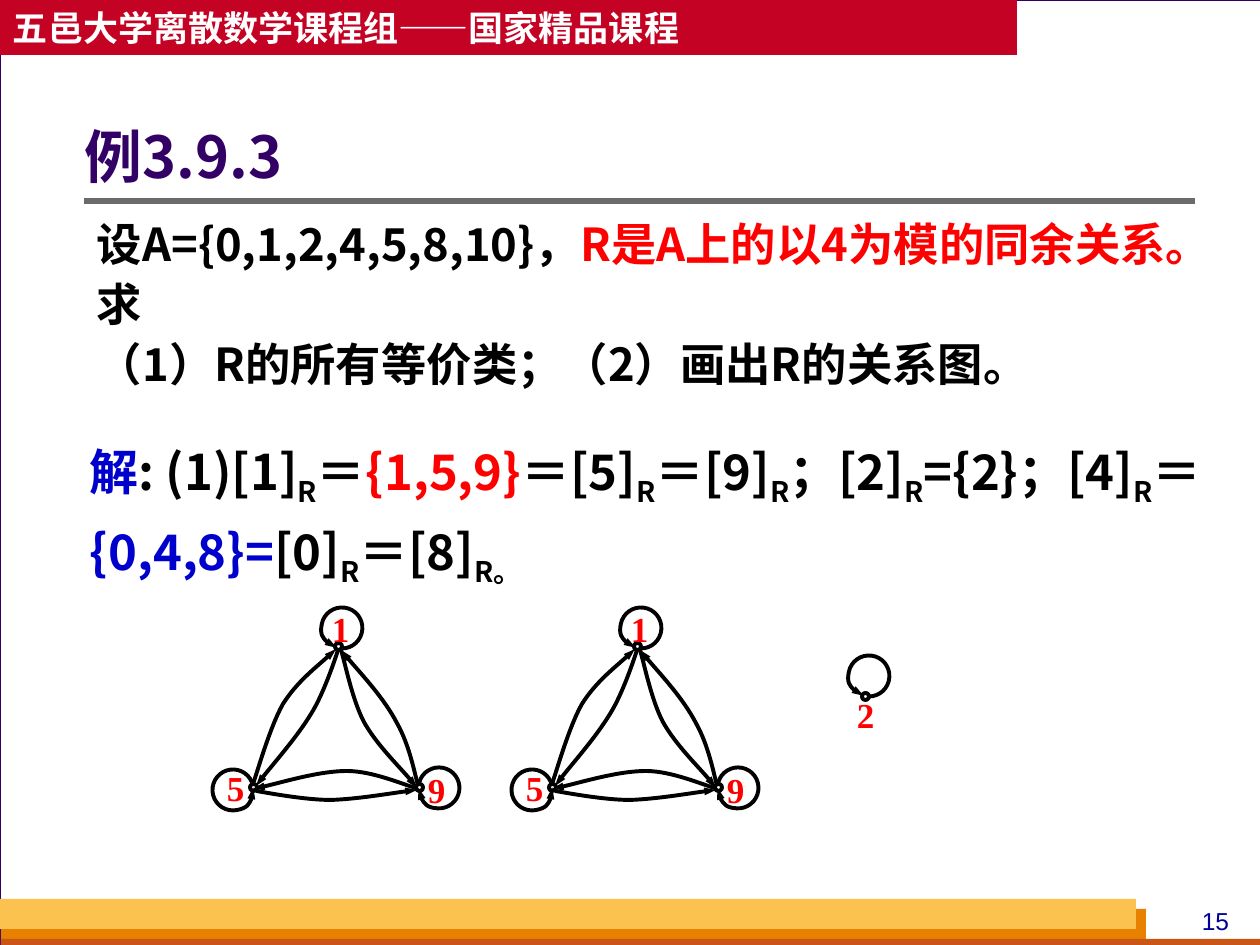
from math import cos, radians, sin, tan

from lxml import etree
from pptx import Presentation
from pptx import util as u
from pptx.dml.color import RGBColor
from pptx.enum import shapes, text
from pptx.oxml.ns import qn

PX = 914400 // 126
SANS, SERIF, LATIN = "Noto Sans CJK SC", "Times New Roman", "Arial"
WHITE = RGBColor(0xFF, 0xFF, 0xFF)
BLACK = RGBColor(0, 0, 0)
RED = RGBColor(0xFF, 0, 0)
BLUE = RGBColor(0, 0, 0xCC)
NAVY = RGBColor(0, 0, 0x99)
PURPLE = RGBColor(0x33, 0, 0x66)
CRIMSON = RGBColor(0xC3, 0x02, 0x24)
GRAY = RGBColor(0x6B, 0x6B, 0x6B)
BACKDROP = RGBColor(0xD8, 0xDA, 0xDA)
ORANGE = RGBColor(0xE8, 0x80, 0)
RUST = RGBColor(0xC9, 0x56, 0x16)
GOLD = RGBColor(0xFC, 0xC2, 0x4F)

# Content: a run is (text, colour) or (text, colour, "sub")
HEADER = "五邑大学离散数学课程组——国家精品课程"
TITLE = "例3.9.3"
PROBLEM = [
    [("设A={0,1,2,4,5,8,10}，", BLACK), ("R是A上的以4为模的同余关系。", RED),
     ("求", BLACK)],
    [("（1）R的所有等价类；（2）画出R的关系图。", BLACK)],
]
SUB_R = ("R", BLACK, "sub")
SOLUTION = [[
    ("解", BLUE), (": (1)[1]", BLACK), SUB_R, ("＝", BLACK), ("{1,5,9}", RED),
    ("＝[5]", BLACK), SUB_R, ("＝[9]", BLACK), SUB_R, ("；[2]", BLACK), SUB_R,
    ("={2}；[4]", BLACK), SUB_R, ("＝", BLACK), ("{0,4,8}=", BLUE),
    ("[0]", BLACK), SUB_R, ("＝[8]", BLACK), ("R。", BLACK, "sub"),
]]
BARS = [  # left, top, width, height, fill
    (1, 909, 1145, 36, ORANGE),
    (1, 939, 1260, 10, RUST),
    (0, 899, 1136, 30, GOLD),
]

# Relation graph: node = label, dot corner, label corner, loop centre, start angle, reversed
TRIANGLE = [
    ("1", (335, 643), (319, 602), (342, 628), 90, False),
    ("5", (250, 784), (214, 761), (233, 790), -22, False),
    ("9", (416, 784), (415, 762), (439, 788), 180, True),
]
SINGLE = [("2", (862, 693), (844, 687), (869, 676), 90, False)]
EDGES = [  # start point, then three points for each cubic segment
    [(338, 650), (338, 650), (325, 692), (311, 714), (297, 737), (267, 771), (256, 786)],
    [(253, 784), (258, 770), (270, 727), (283, 704), (297, 682), (325, 660), (336, 649)],
    [(341, 650), (345, 662), (352, 699), (364, 722), (377, 745), (407, 774), (417, 788)],
    [(418, 785), (415, 775), (410, 746), (397, 723), (384, 698), (353, 665), (341, 650)],
    [(256, 791), (268, 793), (305, 800), (331, 800), (358, 799), (399, 792), (417, 790)],
    [(416, 788), (404, 785), (373, 771), (347, 771), (320, 771), (273, 785), (253, 789)],
]
GRAPH_STEP = 299
LOOP_RADIUS, LOOP_SWEEP = 20.5, 345

prs = Presentation()
prs.slide_width, prs.slide_height = u.Emu(1260 * PX), u.Emu(945 * PX)
s = prs.slides.add_slide(prs.slide_layouts[6])
s.background.fill.solid()
s.background.fill.fore_color.rgb = BACKDROP


def px(*values):
    return [u.Emu(round(v * PX)) for v in values]


def style(sp, fill=None, line=None, width=2.25):
    sp.shadow.inherit = False
    if fill is None:
        sp.fill.background()
    else:
        sp.fill.solid()
        sp.fill.fore_color.rgb = fill
    if line is None:
        sp.line.fill.background()
    else:
        sp.line.color.rgb = line
        sp.line.width = u.Pt(width)
    return sp


def add_box(kind, box, **look):
    return style(s.shapes.add_shape(kind, *px(*box)), **look)


def write(sp, paragraphs, size, font=SANS, bold=True, spacing=1.0,
          anchor=text.MSO_ANCHOR.TOP, align=text.PP_ALIGN.LEFT, insets=(13, 6, 13, 6)):
    tf = sp.text_frame
    tf.word_wrap, tf.vertical_anchor = True, anchor
    tf.margin_left, tf.margin_top, tf.margin_right, tf.margin_bottom = px(*insets)
    for i, runs in enumerate(paragraphs):
        p = tf.add_paragraph() if i else tf.paragraphs[0]
        p.alignment, p.line_spacing = align, spacing
        for words, color, *sub in runs:
            r = p.add_run()
            r.text = words
            for key, value in dict(size=u.Pt(size), name=font, bold=bold).items():
                setattr(r.font, key, value)
            r.font.color.rgb = color
            rPr = r._r.get_or_add_rPr()
            etree.SubElement(rPr, qn("a:ea")).set("typeface", font)
            if sub:
                rPr.set("baseline", "-25000")


def add_text(box, paragraphs, size, **look):
    write(s.shapes.add_textbox(*px(*box)), paragraphs, size, **look)


def add_arrow(points, dx):
    """Draw a cubic path: a start point, then three points for each segment."""
    (x, y), *rest = [px(px_x + dx, px_y) for px_x, px_y in points]
    builder = s.shapes.build_freeform(x, y)
    builder.add_line_segments(rest, close=False)
    sp = style(builder.convert_to_shape(), line=BLACK)
    # Every three straight segments become one cubic curve
    lines = list(sp._element.iter(qn("a:lnTo")))
    for k in range(0, len(lines), 3):
        cubic = etree.SubElement(lines[k].getparent(), qn("a:cubicBezTo"))
        for line in lines[k:k + 3]:
            cubic.append(line[0])
            line.getparent().remove(line)
    tail = etree.SubElement(sp.line._get_or_add_ln(), qn("a:tailEnd"))
    for key, value in dict(type="triangle", w="sm", len="med").items():
        tail.set(key, value)


def loop(center, start, backwards, arcs=4):
    step = radians(-LOOP_SWEEP / arcs)
    pull = 4 / 3 * tan(step / 4)

    def on_circle(a, k=0):
        return (center[0] + LOOP_RADIUS * (cos(a) - k * sin(a)),
                center[1] + LOOP_RADIUS * (sin(a) + k * cos(a)))

    points = [on_circle(radians(start))]
    for n in range(arcs):
        a = radians(start) + n * step
        points += [on_circle(a, pull), on_circle(a + step, -pull), on_circle(a + step)]
    return points[::-1] if backwards else points


def add_graph(nodes, edges, dx=0):
    for edge in edges:
        add_arrow(edge, dx)
    for label, dot, corner, center, start, backwards in nodes:
        add_arrow(loop(center, start, backwards), dx)
        add_box(shapes.MSO_SHAPE.OVAL, (dot[0] + dx, dot[1], 7, 7), line=BLACK)
        add_text((corner[0] + dx, corner[1], 62, 58), [[(label, RED)]], 20, font=SERIF)


# Page frame, header and footer
RECT = shapes.MSO_SHAPE.RECTANGLE
add_box(RECT, (0, 0, 1261, 945), fill=WHITE, line=PURPLE, width=0.75)
header = add_box(RECT, (0, 0, 1017, 55), fill=CRIMSON)
write(header, [[(HEADER, WHITE)]], 20, anchor=text.MSO_ANCHOR.MIDDLE)
for *box, color in BARS:
    add_box(RECT, box, fill=color)
add_text((1176, 900, 79, 43), [[("15", NAVY)]], 14, font=LATIN, bold=False,
         align=text.PP_ALIGN.CENTER)

# Title with its rule
rule = s.shapes.add_connector(shapes.MSO_CONNECTOR.STRAIGHT, *px(84, 201, 1195, 201))
rule.line.color.rgb, rule.line.width = GRAY, u.Pt(3)
etree.SubElement(rule._element.spPr, qn("a:effectLst"))
add_text((85, 96, 1111, 127), [[(TITLE, PURPLE)]], 33, spacing=0.9,
         anchor=text.MSO_ANCHOR.MIDDLE, insets=(0, 6, 13, 6))

# Problem and solution
add_text((84, 205, 1111, 228), PROBLEM, 25.9, spacing=1.1)
add_text((85, 423, 1175, 251), SOLUTION, 28, spacing=1.2, insets=(5, 5, 5, 5))

# Relation graphs
add_graph(SINGLE, [])
for column in range(2):
    add_graph(TRIANGLE, EDGES, column * GRAPH_STEP)

prs.save("out.pptx")
